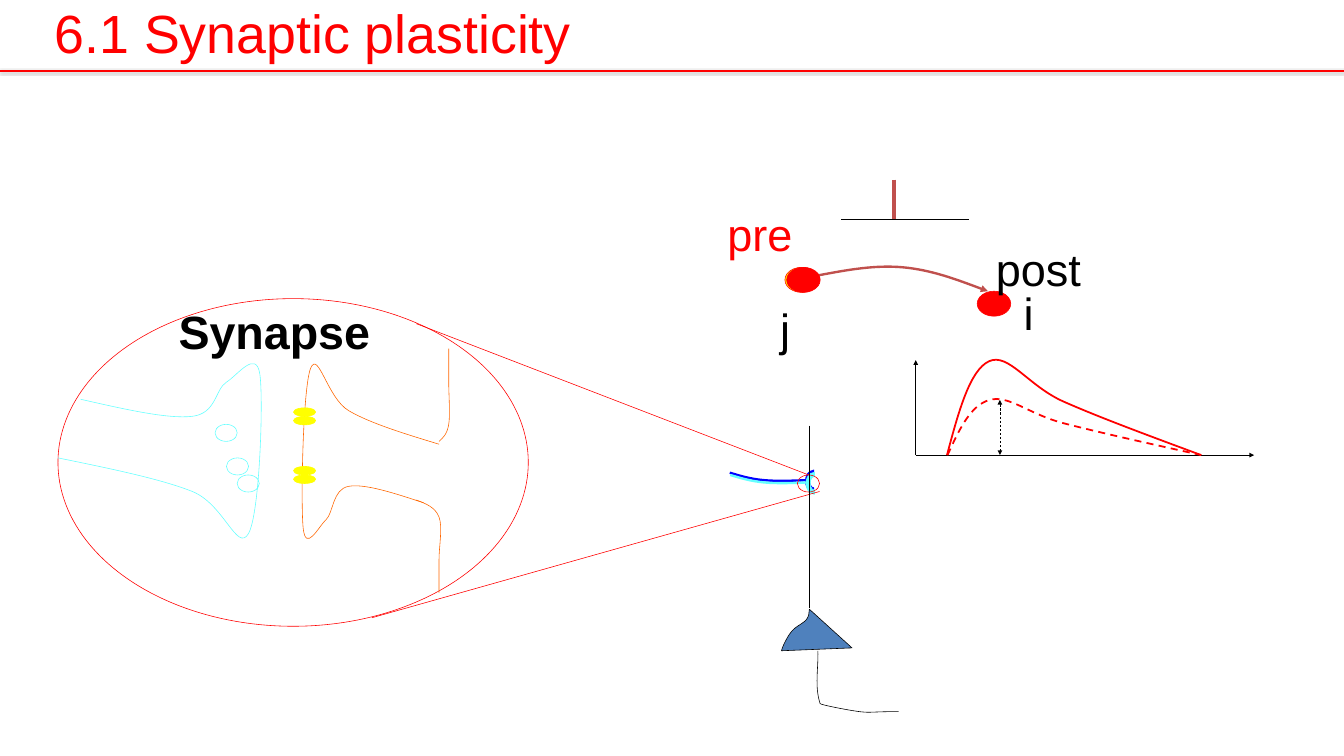
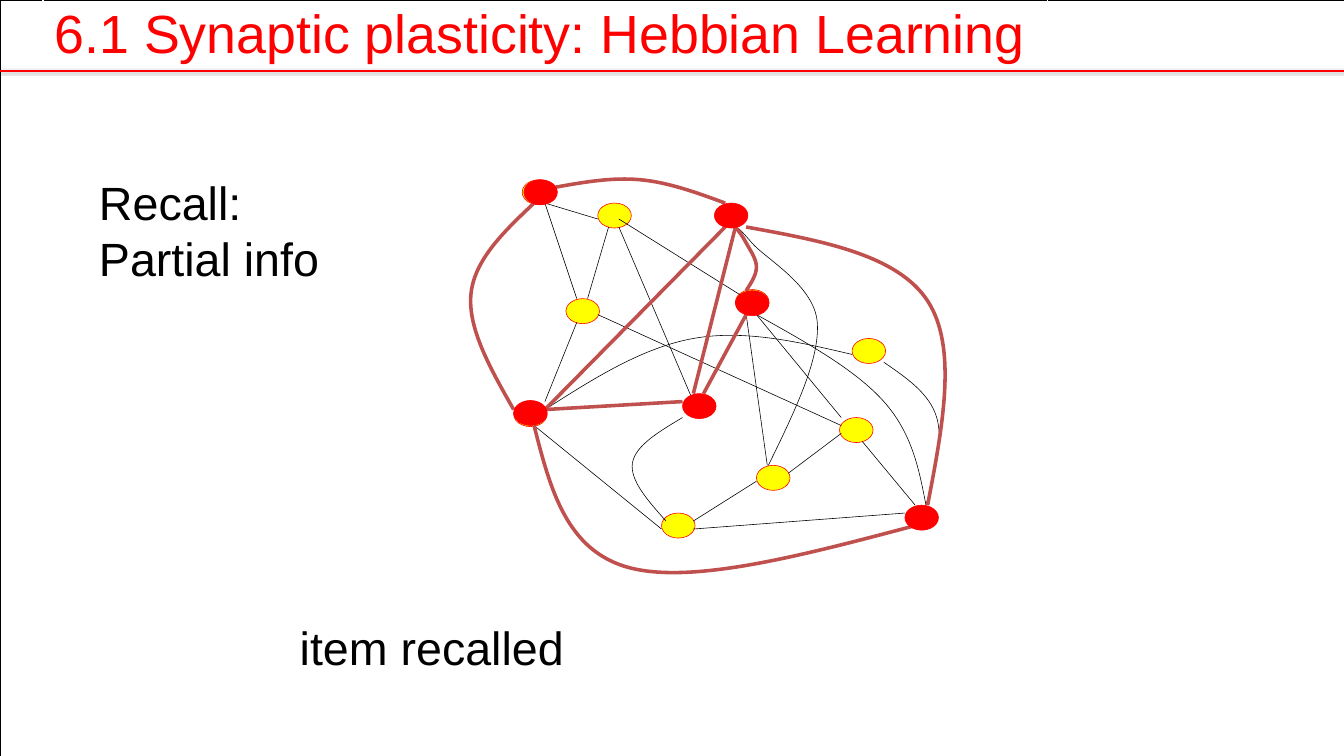
from dataclasses import dataclass

from pptx import Presentation
from pptx.dml.color import RGBColor
from pptx.enum.dml import MSO_LINE
from pptx.enum.shapes import MSO_CONNECTOR, MSO_SHAPE
from pptx.enum.text import MSO_ANCHOR, PP_ALIGN
from pptx.oxml import parse_xml
from pptx.oxml.ns import nsdecls, qn
from pptx.util import Pt


@dataclass(frozen=True)
class Theme:
    font: str = "Arial"
    title: int = 68
    body: int = 59
    label: int = 57
    black: str = "000000"
    white: str = "FFFFFF"
    red: str = "FF0000"
    brick: str = "C0504D"
    yellow: str = "FFFF00"
    blue: str = "0000FF"
    cyan: str = "66FFFF"
    orange: str = "FF6600"
    steel: str = "4F81BD"
    hair: float = 0.75
    rule: float = 2
    curve: float = 2.25
    arrow: float = 3
    strong: float = 4.5


T = Theme()
WIDTH, HEIGHT = 1701.36, 956.88
RULE_Y = 89.6
NODE = (42.5, 31.7)
VESICLE = (28.1, 21.6)
RECEPTOR = (28.1, 10.8)
WIDE_INSET, NARROW_INSET = (15.1, 7.9), (7.2, 3.6)

# Slide 1: spike, neuron pair and postsynaptic potential
NEURONS = [(993.6, 338.4, T.yellow), (995.8, 338.4, T.red), (1237, 368.6, T.red)]
SIGNAL_LINES = [
    ([(1159.2, 576), (1587.6, 576)], dict(tail=True)),
    ([(1159.2, 576), (1159.2, 455.8)], dict(tail=True)),
    ([(1199.5, 576), (1252.8, 506.2), (1346.4, 535.7), (1520.6, 576)],
     dict(color=T.red, width=T.curve, dash=True)),
    ([(1198.8, 576), (1252.1, 457.2), (1346.4, 508.3), (1520.6, 576)],
     dict(color=T.red, width=T.curve)),
    ([(1265.8, 506.2), (1265.8, 576)], dict(dash=True, head=True, tail=True)),
    ([(1036.1, 348.5), (1143.4, 338.4), (1250.6, 368.6)],
     dict(color=T.brick, width=T.arrow, tail=True)),
    ([(1064.9, 277.2), (1226.2, 277.2)], {}),
    ([(1131.8, 227.5), (1131.8, 277.2)], dict(color=T.brick, width=T.strong)),
]
LABELS = [
    ("pre", (913.7, 257.8, 97.9, 76.3), T.red),
    ("post", (1253.5, 301.7, 123.1, 76.3), T.black),
    ("i", (1288.8, 357.8, 27.4, 76.3), T.black),
    ("j", (980.6, 378, 27.4, 76.3), T.black),
]

# Slide 1: synapse seen on the neuron and enlarged
TERMINAL = [(923.8, 598.3), (966.2, 607.7), (1023.1, 607.7)]
BOUTON = (1016.3, 598, 28.1, 21.6)
TERMINAL_LAYERS = [(T.blue, 0, 0), (T.cyan, 0.7, 2.9)]
LENSES = [(1009.4, 601.2, 28.1, 21.6), (73.4, 378, 595.4, 414.7)]
SYNAPSE_LINES = [
    (T.red, [(470.9, 781.9), (1037.5, 622.1)]),
    (T.red, [(527, 409.7), (1023.8, 601.2)]),
    (T.cyan, [(102.2, 505.4), (243.4, 527), (286.6, 483.8), (329, 473.8),
              (314.6, 675.4), (243.4, 622.1), (73.4, 579.6)]),
    (T.orange, [(536.4, 636.5), (441.4, 615.6), (412.6, 658.1), (383.8, 668.2),
                (393.1, 466.6), (441.4, 519.8), (555.8, 562.3)]),
    (T.orange, [(527, 632.9), (555.8, 654.5), (555.8, 707.8), (555.8, 750.2)]),
    (T.orange, [(555.8, 558.7), (568.1, 537.1), (568.1, 483.8), (568.1, 441.4)]),
    (T.black, [(1025, 538.6), (1025, 769.7)]),
]
RECEPTOR_X, RECEPTOR_YS = 371.5, (516.2, 527, 590.4, 601.2)
VESICLES = [(272.2, 537.1), (286.6, 579.6), (300.2, 601.2)]
SOMA_SIDE = [(1024.6, 771.1), (1021, 784.1), (1006.6, 794.9),
             (999.4, 802.8), (992.2, 815.8), (989.3, 823.7)]
SOMA_CORNER = (1078.6, 820.1)
AXON_CONTROLS = [(1035.4, 823.7), (1036.1, 846), (1031, 869), (1038.2, 890.6),
                 (1039, 892.1), (1069.2, 897.8), (1074.2, 898.6),
                 (1103.8, 903.6), (1094.4, 900.7), (1137.6, 900.7)]

# Slide 2: network
BACK_NODES = [(661, 227.5), (756.7, 257), (716.4, 378), (837.4, 649.4),
              (1078.6, 428.4), (957.6, 589), (1062.7, 528.5),
              (650.2, 508.3), (931, 366.5)]
ACTIVE_NODES = [(663.1, 227.5), (864, 498.2), (904.3, 257),
                (1145.5, 639.4), (931, 367.9), (650.2, 506.9)]
WEAK_LINKS = [
    [(864, 528.5), (800.6, 586.1), (843.1, 659.5)],
    [(1118.9, 458.6), (1185.8, 528.5), (1172.2, 639.4)],
    [(770.4, 287.3), (743.8, 378)],
    [(783.4, 287.3), (877.7, 508.3)],
    [(944.6, 398.2), (971.3, 589)],
    [(689.8, 518.4), (877.7, 428.4), (1078.6, 448.6)],
    [(783.4, 277.2), (944.6, 378)],
    [(957.6, 398.2), (1064.9, 528.5)],
    [(997.9, 599), (1064.9, 548.6)],
    [(1091.5, 558.7), (1158.5, 639.4)],
    [(877.7, 659.5), (957.6, 609.1)],
    [(676.1, 538.6), (837.4, 669.6)],
    [(931, 287.3), (951.8, 307.4), (1034.6, 408.2), (972.7, 589)],
    [(756.7, 398.2), (1064.9, 538.6)],
    [(877.7, 669.6), (1145.5, 649.4)],
    [(689.8, 257), (730.1, 378)],
    [(689.8, 257), (756.7, 277.2)],
    [(730.1, 408.2), (689.8, 508.3)],
    [(957.6, 398.2), (1118.9, 508.3), (1172.2, 639.4)],
]
STRONG_LINKS = [
    [(676.1, 257), (596.2, 372.2), (650.2, 518.4)],
    [(931, 287.3), (944.6, 307.4), (957.6, 337.7), (944.6, 367.9)],
    [(918, 287.3), (689.8, 518.4)],
    [(689.8, 518.4), (864, 508.3)],
    [(703.4, 236.9), (810.7, 227.5), (918, 257)],
    [(944.6, 287.3), (1174.3, 380.9), (1174.3, 639.4)],
    [(676.1, 538.6), (797, 718.6), (1158.5, 665.3)],
    [(944.6, 398.2), (890.6, 498.2)],
    [(931, 287.3), (877.7, 498.2)],
]
CAPTIONS = [
    (["item recalled"], (364.3, 775.4, 368.6, 87.1)),
    (["Recall:", "Partial info"], (110.2, 212.8, 312.5, 158.4)),
]


def rgb(color):
    return RGBColor.from_string(color)


def set_line(shape, color=T.black, width=T.hair, dash=False, head=False, tail=False):
    shape.line.color.rgb = rgb(color)
    shape.line.width = Pt(width)
    if dash:
        shape.line.dash_style = MSO_LINE.DASH
    for tag, wanted in (("headEnd", head), ("tailEnd", tail)):
        if wanted:
            shape.get_or_add_ln().append(
                parse_xml(f'<a:{tag} {nsdecls("a")} type="triangle"/>'))


def set_fill(shape, color):
    shape.shadow.inherit = False
    if color:
        shape.fill.solid()
        shape.fill.fore_color.rgb = rgb(color)
    else:
        shape.fill.background()


def add_preset(s, kind, box, fill=None, line=T.black):
    sp = s.shapes.add_shape(kind, *map(Pt, box))
    set_fill(sp, fill)
    set_line(sp, line)
    return sp


def add_ellipses(s, places, size, fill, line):
    for place in places:
        add_preset(s, MSO_SHAPE.OVAL, (*place, *size), fill, line)


def add_line(s, start, end, effect="", **style):
    """Draw a straight connector; effect is the XML of a shadow, if any."""
    cx = s.shapes.add_connector(MSO_CONNECTOR.STRAIGHT, *map(Pt, (*start, *end)))
    set_line(cx, **style)
    cx.element.spPr.append(
        parse_xml(f'<a:effectLst {nsdecls("a")}>{effect}</a:effectLst>'))


def bezier_controls(anchors):
    """Return the Bezier points of a Catmull-Rom curve with relaxed ends."""
    last = len(anchors) - 1

    def handle(i, side):
        (x0, y0), (x1, y1) = anchors[i - 1], anchors[i + 1]
        x, y = anchors[i]
        return x + side * (x1 - x0) / 6, y + side * (y1 - y0) / 6

    def middle(a, b):
        return (a[0] + b[0]) / 2, (a[1] + b[1]) / 2

    points = [anchors[0]]
    for i in range(last):
        a, d = anchors[i], anchors[i + 1]
        b = handle(i, 1) if i else middle(a, handle(1, -1))
        c = handle(i + 1, -1) if i + 1 < last else middle(b, d)
        points += [b, c, d]
    return points


def add_curve(s, controls, corners=(), fill=None, close=False, **style):
    """Draw cubic curves through the control points, then straight sides to corners."""
    start, *rest = [(Pt(x), Pt(y)) for x, y in (*controls, *corners)]
    builder = s.shapes.build_freeform(*start)
    builder.add_line_segments(rest, close=close)
    sp = builder.convert_to_shape()
    segments = list(sp.element.iter(qn("a:lnTo")))[:len(controls) - 1]
    for i in range(0, len(segments), 3):
        cubic = parse_xml(f'<a:cubicBezTo {nsdecls("a")}/>')
        segments[i].addprevious(cubic)
        for segment in segments[i:i + 3]:
            cubic.append(segment[0])
            segment.getparent().remove(segment)
    set_fill(sp, fill)
    set_line(sp, **style)


def add_path(s, anchors, **style):
    """Draw two anchors as a connector and more as a curve."""
    if len(anchors) == 2:
        add_line(s, *anchors, **style)
    else:
        add_curve(s, bezier_controls(anchors), **style)


def write(shape, lines, size, color, inset, bold=False):
    tf = shape.text_frame
    x, y = map(Pt, inset)
    frame = dict(word_wrap=False, vertical_anchor=MSO_ANCHOR.TOP, margin_left=x,
                 margin_right=x, margin_top=y, margin_bottom=y)
    for name, value in frame.items():
        setattr(tf, name, value)
    for i, line in enumerate(lines):
        p = tf.add_paragraph() if i else tf.paragraphs[0]
        p.alignment = PP_ALIGN.LEFT
        r = p.add_run()
        r.text = line
        for name, value in dict(name=T.font, size=Pt(size), bold=bold).items():
            setattr(r.font, name, value)
        r.font.color.rgb = rgb(color)


def add_text(s, lines, box, *style, **options):
    write(s.shapes.add_textbox(*map(Pt, box)), lines, *style, **options)


def add_header(s, text, width):
    title = s.shapes.title
    box = dict(left=54, top=-8, width=width, height=98)
    for name, value in box.items():
        setattr(title, name, Pt(value))
    write(title, [text], T.title, T.red, WIDE_INSET)
    set_line(title, T.white, T.curve)
    title.element.getparent().append(title.element)
    shadow = ('<a:outerShdw blurRad="39370" dist="20320" dir="5400000">'
              f'<a:srgbClr val="{T.black}"><a:alpha val="38000"/></a:srgbClr>'
              '</a:outerShdw>')
    add_line(s, (0, RULE_Y), (WIDTH, RULE_Y), shadow, color=T.red, width=T.rule)


def build_synapse(s):
    for anchors, style in SIGNAL_LINES:
        add_path(s, anchors, **style)
    for x, y, color in NEURONS:
        add_ellipses(s, [(x, y)], NODE, color, T.red)
    for text, box, color in LABELS:
        add_text(s, [text], box, T.label, color, NARROW_INSET)

    for color, dx, dy in TERMINAL_LAYERS:
        add_path(s, [(x + dx, y + dy) for x, y in TERMINAL], color=color, width=T.arrow)
        x, y, w, h = BOUTON
        arc = add_preset(s, MSO_SHAPE.BLOCK_ARC, (x + dx, y + dy, w, h), color, color)
        arc.rotation = 270
    for box in LENSES:
        add_preset(s, MSO_SHAPE.OVAL, box, line=T.red)
    for color, anchors in SYNAPSE_LINES:
        add_path(s, anchors, color=color)
    receptors = [(RECEPTOR_X, y) for y in RECEPTOR_YS]
    add_ellipses(s, receptors, RECEPTOR, T.yellow, T.yellow)
    add_ellipses(s, VESICLES, VESICLE, None, T.cyan)
    add_text(s, ["Synapse"], (218.9, 380.2, 259.9, 79.2), T.body, T.black,
             NARROW_INSET, bold=True)
    add_curve(s, bezier_controls(SOMA_SIDE), [SOMA_CORNER], T.steel, close=True)
    add_curve(s, AXON_CONTROLS)
    add_header(s, "6.1 Synaptic plasticity", 691.2)


def build_recall(s):
    add_preset(s, MSO_SHAPE.RECTANGLE, (0, 0, WIDTH, HEIGHT))
    add_ellipses(s, BACK_NODES, NODE, T.yellow, T.red)
    for link in WEAK_LINKS:
        add_path(s, link)
    for link in STRONG_LINKS:
        add_path(s, link, color=T.brick, width=T.strong)
    add_ellipses(s, ACTIVE_NODES, NODE, T.red, T.red)
    for lines, box in CAPTIONS:
        add_text(s, lines, box, T.body, T.black, WIDE_INSET)
    add_header(s, "6.1 Synaptic plasticity: Hebbian Learning", 1272.2)


def main():
    prs = Presentation()
    prs.slide_width, prs.slide_height = Pt(WIDTH), Pt(HEIGHT)
    for build in (build_synapse, build_recall):
        build(prs.slides.add_slide(prs.slide_layouts[5]))
    prs.save("out.pptx")


if __name__ == "__main__":
    main()
